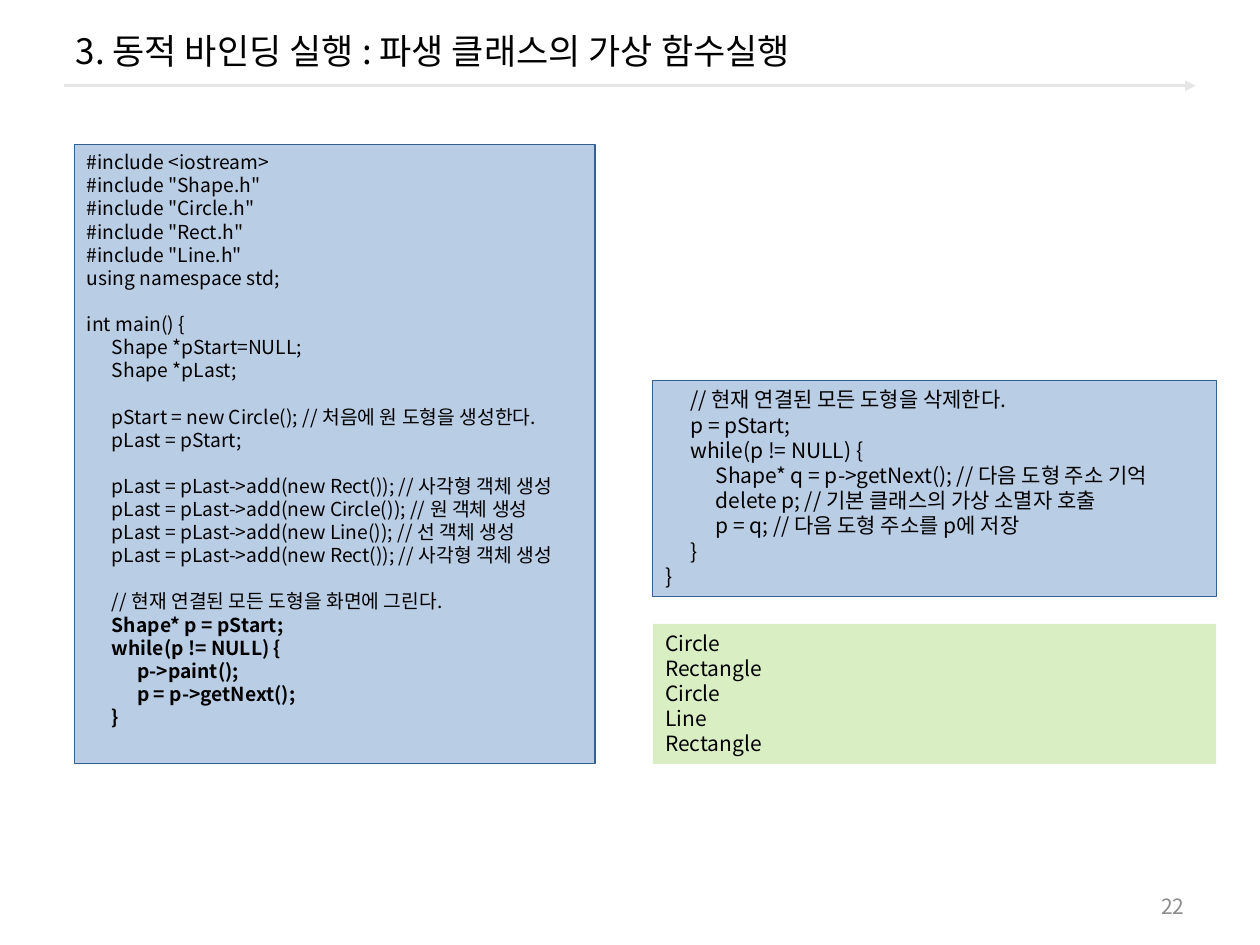
from lxml import etree
from pptx import Presentation
from pptx.dml.color import RGBColor
from pptx.enum.shapes import MSO_CONNECTOR, MSO_SHAPE
from pptx.enum.text import MSO_ANCHOR, PP_ALIGN
from pptx.oxml.ns import qn
from pptx.util import Pt

STRAIGHT = MSO_CONNECTOR.STRAIGHT
RECTANGLE = MSO_SHAPE.RECTANGLE
MIDDLE, TOP = MSO_ANCHOR.MIDDLE, MSO_ANCHOR.TOP
LEFT, RIGHT = PP_ALIGN.LEFT, PP_ALIGN.RIGHT
FONT = "Noto Sans CJK KR"
TAB_STEP = 14.4
LINE_RATIO = 1.2
CODE_FILL, CODE_LINE, OUTPUT_FILL = "B9CDE5", "376092", "DAEEC4"

MAIN_CODE = """#include <iostream>
#include "Shape.h"
#include "Circle.h"
#include "Rect.h"
#include "Line.h"
using namespace std;

int main() {
\tShape *pStart=NULL;
\tShape *pLast;

\tpStart = new Circle(); // 처음에 원 도형을 생성한다.
\tpLast = pStart;

\tpLast = pLast->add(new Rect()); // 사각형 객체 생성
\tpLast = pLast->add(new Circle()); // 원 객체 생성
\tpLast = pLast->add(new Line()); // 선 객체 생성
\tpLast = pLast->add(new Rect()); // 사각형 객체 생성

\t// 현재 연결된 모든 도형을 화면에 그린다."""

PAINT_LOOP = """\tShape* p = pStart;
\twhile(p != NULL) {
\t\tp->paint();
\t\tp = p->getNext();
\t}"""

DELETE_LOOP = """\t// 현재 연결된 모든 도형을 삭제한다.
\tp = pStart;
\twhile(p != NULL) {
\t\tShape* q = p->getNext(); // 다음 도형 주소 기억
\t\tdelete p; // 기본 클래스의 가상 소멸자 호출
\t\tp = q; // 다음 도형 주소를 p에 저장
\t}
}"""

OUTPUT = """Circle
Rectangle
Circle
Line
Rectangle"""


def color(value):
    return RGBColor.from_string(value)


def place(shape, box):
    shape.left, shape.top, shape.width, shape.height = map(Pt, box)


def add_run(paragraph, text, size, ink="000000", bold=False):
    run = paragraph.add_run()
    run.text = text
    run.font.size = Pt(size)
    run.font.bold = bold
    run.font.name = FONT
    run.font.color.rgb = color(ink)
    east_asian = etree.SubElement(run.font._element, qn("a:ea"))
    east_asian.set("typeface", FONT)


def set_tabs(paragraph):
    tabs = etree.SubElement(paragraph._p.get_or_add_pPr(), qn("a:tabLst"))
    for level in (1, 2):
        tab = etree.SubElement(tabs, qn("a:tab"))
        tab.set("pos", str(Pt(TAB_STEP * level)))
        tab.set("algn", "l")


def add_heading(slide, box, text):
    title = slide.shapes.title
    place(title, box)
    frame = title.text_frame
    frame.word_wrap = True
    frame.vertical_anchor = MIDDLE
    frame.paragraphs[0].alignment = LEFT
    add_run(frame.paragraphs[0], text, 20)


def add_heading_arrow(slide, left, right, y):
    arrow = slide.shapes.add_connector(STRAIGHT, Pt(left), Pt(y), Pt(right), Pt(y))
    arrow.line.color.rgb = color("E6E6E6")
    arrow.line.width = Pt(1.5)
    tail = etree.SubElement(arrow.line._get_or_add_ln(), qn("a:tailEnd"))
    tail.set("type", "triangle")
    etree.SubElement(arrow._element.spPr, qn("a:effectLst"))


def add_listing(slide, box, blocks, size, fill, outline=None):
    panel = slide.shapes.add_shape(RECTANGLE, *map(Pt, box))
    panel.shadow.inherit = False
    panel.fill.solid()
    panel.fill.fore_color.rgb = color(fill)
    if outline:
        panel.line.color.rgb = color(outline)
        panel.line.width = Pt(0.75)
    else:
        panel.line.fill.background()
    frame = panel.text_frame
    frame.word_wrap = True
    frame.vertical_anchor = TOP
    paragraph = frame.paragraphs[0]
    gap = 0
    for code, bold in blocks:
        for line in code.split("\n"):
            if not line:
                gap = size * LINE_RATIO
                continue
            if paragraph.runs:
                paragraph = frame.add_paragraph()
            set_tabs(paragraph)
            paragraph.alignment = LEFT
            paragraph.line_spacing = Pt(size * LINE_RATIO)
            paragraph.space_before = Pt(gap)
            add_run(paragraph, line, size, bold=bold)
            gap = 0


def add_page_number(slide, box, number):
    frame = slide.shapes.add_textbox(*map(Pt, box)).text_frame
    frame.word_wrap = True
    frame.vertical_anchor = MIDDLE
    frame.paragraphs[0].alignment = RIGHT
    add_run(frame.paragraphs[0], number, 12, "8C8C8C")


def main():
    presentation = Presentation()
    presentation.slide_width, presentation.slide_height = Pt(720), Pt(540)
    slide = presentation.slides.add_slide(presentation.slide_layouts[5])
    add_heading_arrow(slide, 36.75, 683.25, 49)
    add_heading(slide, (36, 5.75, 648, 46), "3. 동적 바인딩 실행 : 파생 클래스의 가상 함수실행")
    add_listing(slide, (42.5, 82.5, 297.5, 354), [(MAIN_CODE, False), (PAINT_LOOP, True)],
                11, CODE_FILL, CODE_LINE)
    add_listing(slide, (373, 356.5, 322, 80), [(OUTPUT, False)], 12, OUTPUT_FILL)
    add_listing(slide, (373, 217.5, 322, 123.5), [(DELETE_LOOP, False)],
                12, CODE_FILL, CODE_LINE)
    add_page_number(slide, (516, 506, 168, 23), "22")
    presentation.save("out.pptx")


if __name__ == "__main__":
    main()
